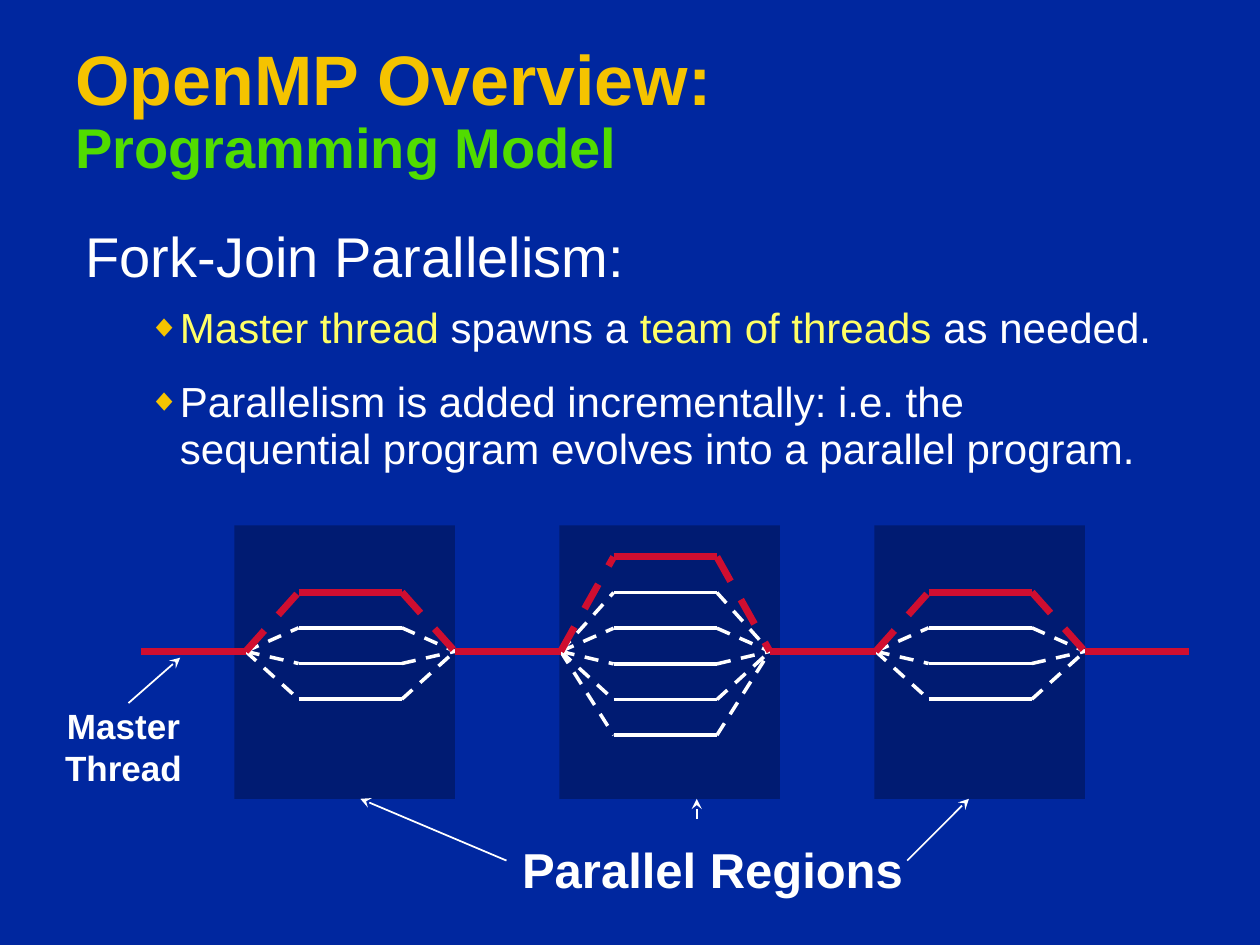
from pptx import Presentation
from pptx.dml.color import RGBColor
from pptx.enum.dml import MSO_LINE
from pptx.enum.shapes import MSO_CONNECTOR, MSO_SHAPE
from pptx.enum.text import MSO_ANCHOR, PP_ALIGN
from pptx.oxml.ns import qn
from pptx.util import Inches, Pt
from lxml import etree

NAVY, DARK_NAVY = "00279F", "001B72"
GOLD, GREEN, YELLOW = "F5C300", "51DC00", "FFFF66"
WHITE, RED = "FFFFFF", "CF0E30"

AXIS = 5.17        # height of the master thread
THREAD_GAP = 0.283  # distance between parallel threads
FORK_WIDTH, THREAD_WIDTH = 0.42, 0.82
REGION_WIDTH = 2 * FORK_WIDTH + THREAD_WIDTH
REGION_TOP, REGION_HEIGHT = 4.17, 2.17

# Fork position, first thread height, thread count, box left, box width
REGIONS = [
    (1.95, 4.7, 4, 1.86, 1.75),
    (4.45, 4.42, 6, 4.44, 1.75),
    (6.95, 4.7, 4, 6.94, 1.67),
]


def color(value):
    return RGBColor.from_string(value)


def format_run(run, size, value, bold=False):
    run.font.name = "Arial"
    run.font.size = Pt(size)
    run.font.bold = bold
    run.font.color.rgb = color(value)


def add_text_frame(slide, left, top, width, height):
    box = slide.shapes.add_textbox(Inches(left), Inches(top), Inches(width), Inches(height))
    box.text_frame.word_wrap = True
    return box.text_frame


def add_label(slide, text, size, left, top, width, height):
    frame = add_text_frame(slide, left, top, width, height)
    frame.text = text
    paragraph = frame.paragraphs[0]
    paragraph.alignment = PP_ALIGN.CENTER
    format_run(paragraph.runs[0], size, WHITE, bold=True)


def set_bullet(paragraph):
    properties = paragraph._p.get_or_add_pPr()
    properties.set("marL", str(Inches(0.75)))
    properties.set("indent", str(Inches(-0.25)))
    bullet_color = etree.SubElement(properties, qn("a:buClr"))
    etree.SubElement(bullet_color, qn("a:srgbClr"), val=GOLD)
    etree.SubElement(properties, qn("a:buSzPct"), val="75000")
    etree.SubElement(properties, qn("a:buFont"), typeface="Arial")
    etree.SubElement(properties, qn("a:buChar"), char="◆")


def add_line(slide, start, end, value=WHITE, width=2, dashed=False, arrow=False):
    points = [Inches(number) for number in (*start, *end)]
    line = slide.shapes.add_connector(MSO_CONNECTOR.STRAIGHT, *points)
    line.line.color.rgb = color(value)
    line.line.width = Pt(width)
    if dashed:
        line.line.dash_style = MSO_LINE.DASH
    if arrow:
        etree.SubElement(line.line._get_or_add_ln(), qn("a:tailEnd"), type="stealth")
    etree.SubElement(line._element.spPr, qn("a:effectLst"))


def add_region_box(slide, left, width):
    box = slide.shapes.add_shape(
        MSO_SHAPE.RECTANGLE, Inches(left), Inches(REGION_TOP), Inches(width), Inches(REGION_HEIGHT)
    )
    box.shadow.inherit = False
    box.fill.solid()
    box.fill.fore_color.rgb = color(DARK_NAVY)
    box.line.fill.background()


def add_threads(slide, fork, first, count):
    """Draw a team of threads; the top one is the master."""
    left = fork + FORK_WIDTH
    right = left + THREAD_WIDTH
    for index in reversed(range(count)):
        height = first + index * THREAD_GAP
        style = (RED, 4) if index == 0 else (WHITE, 2)
        add_line(slide, (left, height), (right, height), *style)
        add_line(slide, (fork, AXIS), (left, height), *style, dashed=True)
        add_line(slide, (right, height), (fork + REGION_WIDTH, AXIS), *style, dashed=True)


def add_title(slide):
    frame = add_text_frame(slide, 0.5, 0.27, 9.29, 1.25)
    frame.vertical_anchor = MSO_ANCHOR.MIDDLE
    paragraph = frame.paragraphs[0]
    paragraph.text = "OpenMP Overview:\vProgramming Model"
    paragraph.line_spacing = 0.89
    heading, subheading = paragraph.runs
    format_run(heading, 40, GOLD, bold=True)
    format_run(subheading, 32, GREEN, bold=True)


def add_body(slide):
    frame = add_text_frame(slide, 0.58, 1.75, 8.75, 1.96)
    frame.text = "Fork-Join Parallelism:"
    paragraph = frame.paragraphs[0]
    paragraph.line_spacing = 0.94
    format_run(paragraph.runs[0], 32, WHITE)

    bullets = [
        (9, [("Master thread", YELLOW), (" spawns a ", WHITE),
             ("team of threads", YELLOW), (" as needed.", WHITE)]),
        (15, [("Parallelism is added incrementally: i.e. the sequential "
               "program evolves into a parallel program.", WHITE)]),
    ]
    for space, parts in bullets:
        paragraph = frame.add_paragraph()
        paragraph.level = 1
        set_bullet(paragraph)
        paragraph.line_spacing = 0.94
        paragraph.space_before = Pt(space)
        for text, value in parts:
            run = paragraph.add_run()
            run.text = text
            format_run(run, 24, value)


def add_diagram(slide):
    # Parallel regions and their threads
    for fork, first, count, left, width in REGIONS:
        add_region_box(slide, left, width)
        add_threads(slide, fork, first, count)

    # Master thread between the regions
    forks = [region[0] for region in REGIONS]
    starts = [1.12] + [fork + REGION_WIDTH for fork in forks]
    for start, end in zip(starts, forks + [9.44]):
        add_line(slide, (start, AXIS), (end, AXIS), RED, 4)

    # Labels and their arrows
    add_label(slide, "Parallel Regions", 28, 3.53, 6.61, 4.25, 0.57)
    add_label(slide, "Master Thread", 20, 0.32, 5.54, 1.32, 0.77)
    region_bottom = REGION_TOP + REGION_HEIGHT
    arrows = [
        ((7.2, 6.83), (7.69, region_bottom)),
        ((4.02, 6.83), (2.86, region_bottom)),
        ((5.53, 6.5), (5.53, region_bottom)),
        ((1.02, 5.58), (1.43, 5.22)),
    ]
    for start, end in arrows:
        add_line(slide, start, end, width=1, arrow=True)


def main():
    presentation = Presentation()
    presentation.slide_width = Inches(10)
    presentation.slide_height = Inches(7.5)
    slide = presentation.slides.add_slide(presentation.slide_layouts[6])
    slide.background.fill.solid()
    slide.background.fill.fore_color.rgb = color(NAVY)
    add_title(slide)
    add_body(slide)
    add_diagram(slide)
    presentation.save("out.pptx")


if __name__ == "__main__":
    main()
